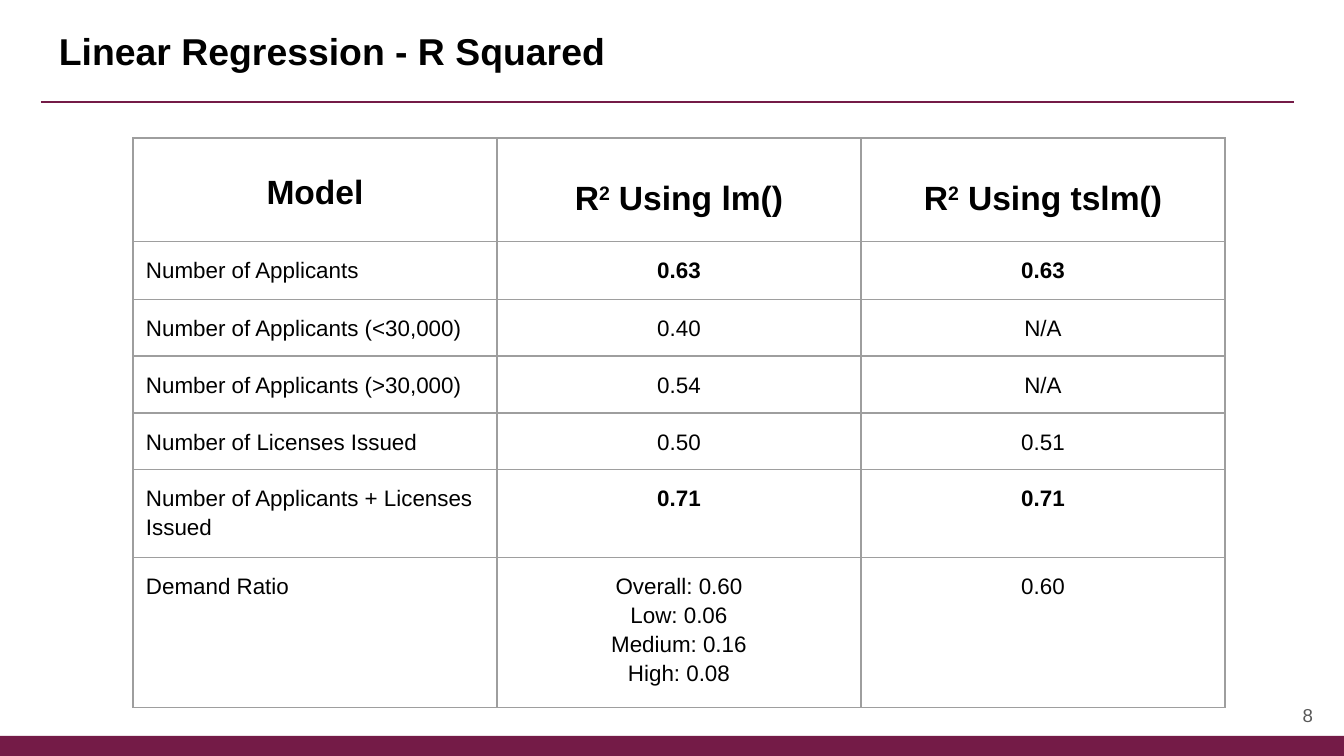
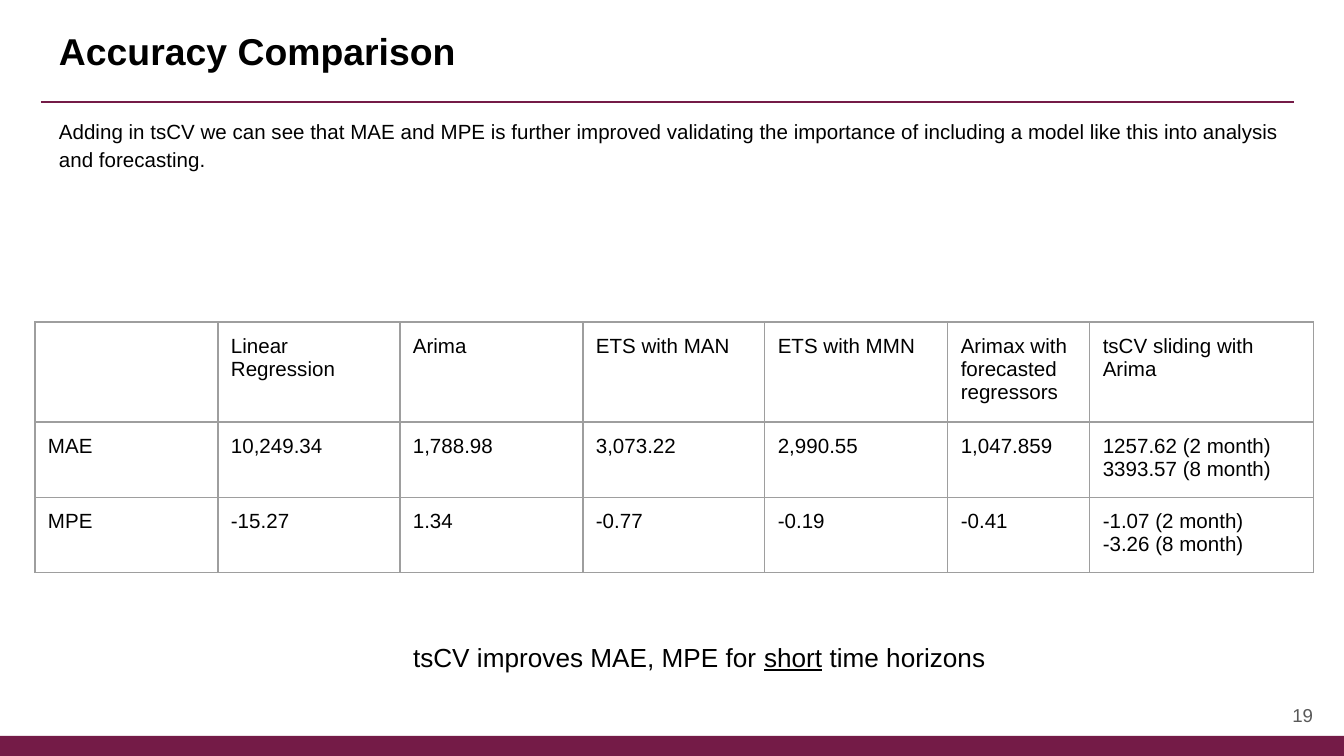
"""Build two slides that compare regression fit and forecast accuracy."""
from dataclasses import dataclass

from lxml import etree
from pptx import Presentation
from pptx.dml.color import RGBColor
from pptx.enum.shapes import MSO_CONNECTOR, MSO_SHAPE
from pptx.enum.text import MSO_ANCHOR, PP_ALIGN
from pptx.oxml.ns import qn
from pptx.util import Emu, Pt

LEFT, CENTER, RIGHT = PP_ALIGN.LEFT, PP_ALIGN.CENTER, PP_ALIGN.RIGHT
TOP, MIDDLE = MSO_ANCHOR.TOP, MSO_ANCHOR.MIDDLE
STRAIGHT, RECTANGLE = MSO_CONNECTOR.STRAIGHT, MSO_SHAPE.RECTANGLE


@dataclass(frozen=True)
class Theme:
    """Colours, font and type sizes of the deck."""
    font: str = "Arial"
    accent: str = "741B47"
    ink: str = "000000"
    muted: str = "595959"
    border: str = "9E9E9E"
    title: int = 20
    header: int = 18
    spacer: int = 30
    callout: int = 14
    cell: int = 12
    body: int = 11
    number: int = 10
    rule: float = 0.75


THEME = Theme()
SLIDE_WIDTH, SLIDE_HEIGHT, INSET = 1344, 756, 13
EMU_PER_PX = 914400 / 134.4

BOLD = {"bold": True}
RAISED = {"baseline": 30000}


def r_squared(function):
    return [("R", BOLD), ("2", BOLD | RAISED),
            (" ", BOLD | RAISED | {"size": THEME.spacer}), (f"Using {function}", BOLD)]


FIT_TITLE, FIT_NUMBER = "Linear Regression - R Squared", "8"
FIT_ROWS = [
    ([("Model", BOLD)], r_squared("lm()"), r_squared("tslm()")),
    ("Number of Applicants", [("0.63", BOLD)], [("0.63", BOLD)]),
    ("Number of Applicants (<30,000)", "0.40", "N/A"),
    ("Number of Applicants (>30,000)", "0.54", "N/A"),
    ("Number of Licenses Issued", "0.50", "0.51"),
    ("Number of Applicants + Licenses Issued", [("0.71", BOLD)], [("0.71", BOLD)]),
    ("Demand Ratio", "Overall: 0.60\nLow: 0.06\nMedium: 0.16\nHigh: 0.08", "0.60"),
]
FIT_COLUMNS = [364] * 3
FIT_HEIGHTS = [98, 58, 56, 56, 56, 85, 142]

ACCURACY_TITLE, ACCURACY_NUMBER = "Accuracy Comparison", "19"
ACCURACY_TEXT = ("Adding in tsCV we can see that MAE and MPE is further improved validating "
                 "the importance of including a model like this into analysis and forecasting.")
ACCURACY_ROWS = [
    ("", "Linear Regression", "Arima", "ETS with MAN", "ETS with MMN",
     "Arimax with forecasted regressors", "tsCV sliding with Arima"),
    ("MAE", "10,249.34", "1,788.98", "3,073.22", "2,990.55", "1,047.859",
     "1257.62 (2 month)\n3393.57 (8 month)"),
    ("MPE", "-15.27", "1.34", "-0.77", "-0.19", "-0.41",
     "-1.07 (2 month)\n-3.26 (8 month)"),
]
ACCURACY_COLUMNS = [183, 182, 183, 182, 183, 142, 224]
ACCURACY_HEIGHTS = [96, 72, 72]
CALLOUT = [("tsCV improves MAE, MPE for ", {}), ("short", {"underline": True}),
           (" time horizons", {})]


def px(length):
    return Emu(round(length * EMU_PER_PX))


def box(*lengths):
    return [px(length) for length in lengths]


def set_margins(holder):
    holder.margin_left = holder.margin_right = px(INSET)
    holder.margin_top = holder.margin_bottom = px(INSET)


def write(frame, content, size, align=LEFT, color=THEME.ink, spacing=None):
    """Write a string, one paragraph a line, or a list of styled runs."""
    if isinstance(content, str):
        paragraphs = [[(line, {})] for line in content.split("\n")]
    else:
        paragraphs = [content]
    for index, runs in enumerate(paragraphs):
        paragraph = frame.add_paragraph() if index else frame.paragraphs[0]
        paragraph.alignment = align
        if spacing:
            paragraph.line_spacing = spacing
        for text, style in runs:
            if not text:
                continue
            run = paragraph.add_run()
            run.text = text
            run.font.name = THEME.font
            run.font.size = Pt(style.get("size", size))
            run.font.bold = style.get("bold", False)
            run.font.underline = style.get("underline", False)
            run.font.color.rgb = RGBColor.from_string(color)
            if "baseline" in style:
                run.font._element.set("baseline", str(style["baseline"]))


def add_text(slide, place, content, size, anchor=TOP, **style):
    frame = slide.shapes.add_textbox(*box(*place)).text_frame
    frame.word_wrap = True
    frame.vertical_anchor = anchor
    set_margins(frame)
    write(frame, content, size, **style)


def add_borders(cell):
    properties = cell._tc.get_or_add_tcPr()
    for index, side in enumerate(("lnL", "lnR", "lnT", "lnB")):
        line = etree.Element(qn(f"a:{side}"), w=str(Pt(THEME.rule)))
        fill = etree.SubElement(line, qn("a:solidFill"))
        etree.SubElement(fill, qn("a:srgbClr"), val=THEME.border)
        properties.insert(index, line)


def add_grid(slide, left, top, rows, columns, heights, style_of):
    place = box(left, top, sum(columns), sum(heights))
    table = slide.shapes.add_table(len(rows), len(columns), *place).table
    table.first_row = table.horz_banding = False
    for column, width in zip(table.columns, columns):
        column.width = px(width)
    for row, height in zip(table.rows, heights):
        row.height = px(height)
    for row_index, row in enumerate(rows):
        for column_index, content in enumerate(row):
            cell = table.cell(row_index, column_index)
            cell.fill.background()
            add_borders(cell)
            set_margins(cell)
            write(cell.text_frame, content, **style_of(row_index, column_index))
    return table


def add_slide(presentation, title, number):
    """Add a slide with the shared band, rule, title and page number."""
    slide = presentation.slides.add_slide(presentation.slide_layouts[6])
    accent = RGBColor.from_string(THEME.accent)
    band = slide.shapes.add_shape(RECTANGLE, *box(0, 736, SLIDE_WIDTH, 20))
    band.shadow.inherit = False
    band.fill.solid()
    band.fill.fore_color.rgb = accent
    band.line.fill.background()
    rule = slide.shapes.add_connector(STRAIGHT, *box(41, 102, 1294, 102))
    rule.line.color.rgb = accent
    rule.line.width = Pt(THEME.rule)
    etree.SubElement(rule._element.spPr, qn("a:effectLst"))
    add_text(slide, (46, 15, 1253, 85), [(title, BOLD)], THEME.title)
    add_text(slide, (1246, 686, 80, 58), number, THEME.number, MIDDLE,
             align=RIGHT, color=THEME.muted)
    return slide


def fit_style(row, column):
    return {"size": THEME.cell if row else THEME.header, "spacing": 1.15,
            "align": LEFT if row and not column else CENTER}


def accuracy_style(row, column):
    return {"size": THEME.body}


def add_fit_slide(presentation):
    slide = add_slide(presentation, FIT_TITLE, FIT_NUMBER)
    table = add_grid(slide, 133, 138, FIT_ROWS, FIT_COLUMNS, FIT_HEIGHTS, fit_style)
    table.cell(0, 0).vertical_anchor = MIDDLE


def add_accuracy_slide(presentation):
    slide = add_slide(presentation, ACCURACY_TITLE, ACCURACY_NUMBER)
    add_text(slide, (46, 102, 1253, 144), ACCURACY_TEXT, THEME.body, spacing=1.15)
    add_grid(slide, 35, 322, ACCURACY_ROWS, ACCURACY_COLUMNS, ACCURACY_HEIGHTS,
             accuracy_style)
    add_text(slide, (400, 628, 613, 58), CALLOUT, THEME.callout)


def main():
    presentation = Presentation()
    presentation.slide_width, presentation.slide_height = box(SLIDE_WIDTH, SLIDE_HEIGHT)
    add_fit_slide(presentation)
    add_accuracy_slide(presentation)
    presentation.save("out.pptx")


if __name__ == "__main__":
    main()
